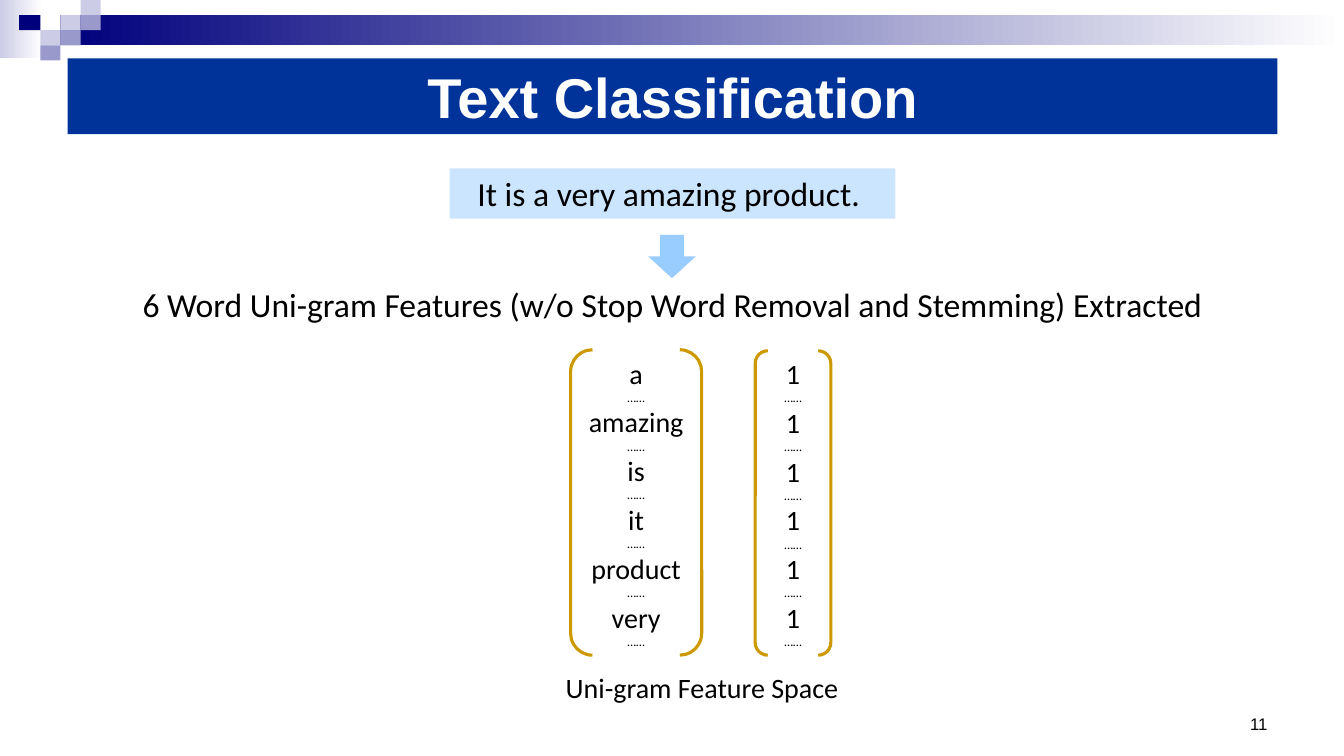
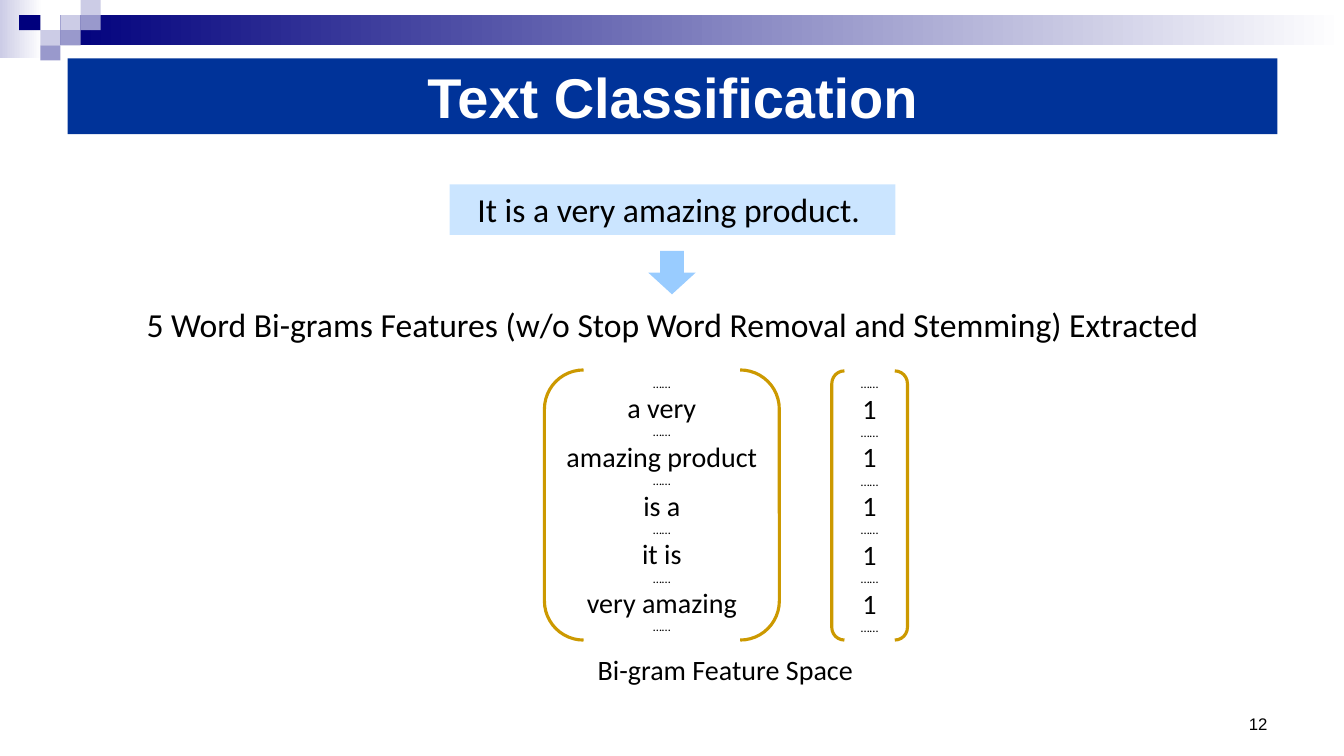
from lxml import etree
from pptx import Presentation
from pptx import util as u
from pptx.dml.color import RGBColor
from pptx.enum import shapes, text
from pptx.oxml.ns import qn

PX = 9144
COLOURS = {
    "navy": "00007D", "lilac": "CCCCE6", "violet": "9999CC", "title": "003399",
    "sky": "99CCFF", "gold": "CC9900", "black": "000000", "white": "FFFFFF",
}
PRESET = shapes.MSO_SHAPE
ALIGN = text.PP_ALIGN
ANCHOR = text.MSO_ANCHOR
DOTS = "……"

STYLES = {
    "title": {"name": "Arial", "size": u.Pt(40), "bold": True},
    "body": {"name": "Calibri", "size": u.Pt(24)},
    "word": {"name": "Calibri", "size": u.Pt(20)},
    "dots": {"name": "Calibri", "size": u.Pt(9)},
    "number": {"name": "Arial", "size": u.Pt(12)},
}

BANDS = [
    ((0, 0, 42, 58), "lilac"),
    ((60, 15, 1273, 30), "navy"),
]
TILES = [
    ((60, 15, 20, 15), "lilac"),
    ((80, 0, 20, 15), "lilac"),
    ((80, 15, 20, 15), "violet"),
    ((40, 30, 20, 15), "lilac"),
    ((19, 15, 21, 15), "navy"),
    ((60, 30, 20, 15), "violet"),
    ((40, 45, 20, 15), "violet"),
]

SLIDES = [
    {
        "number": "11",
        "sentence_top": 167,
        "headline_top": 277,
        "headline": "6 Word Uni-gram Features (w/o Stop Word Removal and Stemming) Extracted",
        "words": ["a", "amazing", "is", "it", "product", "very"],
        "first_rows": [],
        "word_bracket": (566, 347, 130, 303),
        "count_bracket": (749, 348, 75, 302),
        "caption": "Uni-gram Feature Space ",
        "caption_at": (533, 660, 333, 44),
        "caption_align": ALIGN.CENTER,
    },
    {
        "number": "12",
        "sentence_top": 183,
        "headline_top": 297,
        "headline": "5 Word Bi-grams Features (w/o Stop Word Removal and Stemming) Extracted",
        "words": ["a very", "amazing product", "is a", "it is", "very amazing"],
        "first_rows": [DOTS],
        "word_bracket": (540, 367, 233, 268),
        "count_bracket": (825, 368, 75, 267),
        "caption": "Bi-gram Feature Space",
        "caption_at": (583, 642, 293, 44),
        "caption_align": ALIGN.LEFT,
    },
]


def add_box(page, preset, at, fill=None, line=None):
    box = page.shapes.add_shape(preset, *[length * PX for length in at])
    box.shadow.inherit = False
    if fill:
        box.fill.solid()
        box.fill.fore_color.rgb = RGBColor.from_string(COLOURS[fill])
    else:
        box.fill.background()
    if line:
        box.line.color.rgb = RGBColor.from_string(COLOURS[line])
        box.line.width = u.Pt(2.25)
    else:
        box.line.fill.background()
    return box


def write(box, rows, style, align=ALIGN.CENTER, anchor=ANCHOR.TOP, wrap=True, colour="black"):
    frame = box.text_frame
    for name, value in {"word_wrap": wrap, "vertical_anchor": anchor}.items():
        setattr(frame, name, value)
    for index, row in enumerate(rows):
        para = frame.add_paragraph() if index else frame.paragraphs[0]
        para.alignment = align
        span = para.add_run()
        span.text = row
        for name, value in STYLES["dots" if row == DOTS else style].items():
            setattr(span.font, name, value)
        span.font.color.rgb = RGBColor.from_string(COLOURS[colour])


deck = Presentation()
deck.slide_width = u.Emu(1333 * PX)
deck.slide_height = u.Emu(750 * PX)

for content in SLIDES:
    page = deck.slides.add_slide(deck.slide_layouts[6])

    for at, colour in BANDS:
        band = add_box(page, PRESET.RECTANGLE, at)
        band.fill.gradient()
        band.fill.gradient_angle = 0
        for stop, name in zip(band.fill.gradient_stops, (colour, "white")):
            stop.color.rgb = RGBColor.from_string(COLOURS[name])
    for at, colour in TILES:
        add_box(page, PRESET.RECTANGLE, at, colour)

    title = add_box(page, PRESET.RECTANGLE, (67, 58, 1200, 75), "title")
    write(title, ["Text Classification"], "title", anchor=ANCHOR.MIDDLE, colour="white")

    top = content["sentence_top"]
    sentence = add_box(page, PRESET.RECTANGLE, (446, top, 442, 50), "sky")
    tint = sentence.fill._xPr.find(qn("a:solidFill"))[0]
    etree.SubElement(tint, qn("a:alpha"), val="50000")
    write(sentence, ["It is a very amazing product. "], "body")
    sentence.text_frame.paragraphs[0].space_before = u.Pt(3)

    add_box(page, PRESET.DOWN_ARROW, (643, top + 66, 47, 43), "sky")

    rows = {"word_bracket": content["words"], "count_bracket": ["1"] * len(content["words"])}
    for name, entries in rows.items():
        bracket = add_box(page, PRESET.DOUBLE_BRACKET, content[name], line="gold")
        lines = content["first_rows"] + [row for entry in entries for row in (entry, DOTS)]
        write(bracket, lines, "word", anchor=ANCHOR.MIDDLE, wrap=False)

    labels = [
        ((67, content["headline_top"], 1200, 50), content["headline"], "body", ALIGN.CENTER, ANCHOR.TOP),
        (content["caption_at"], content["caption"], "word", content["caption_align"], ANCHOR.TOP),
        ((1111, 683, 156, 50), content["number"], "number", ALIGN.RIGHT, ANCHOR.BOTTOM),
    ]
    for at, label, style, align, anchor in labels:
        box = page.shapes.add_textbox(*[length * PX for length in at])
        write(box, [label], style, align, anchor)

deck.save("out.pptx")
